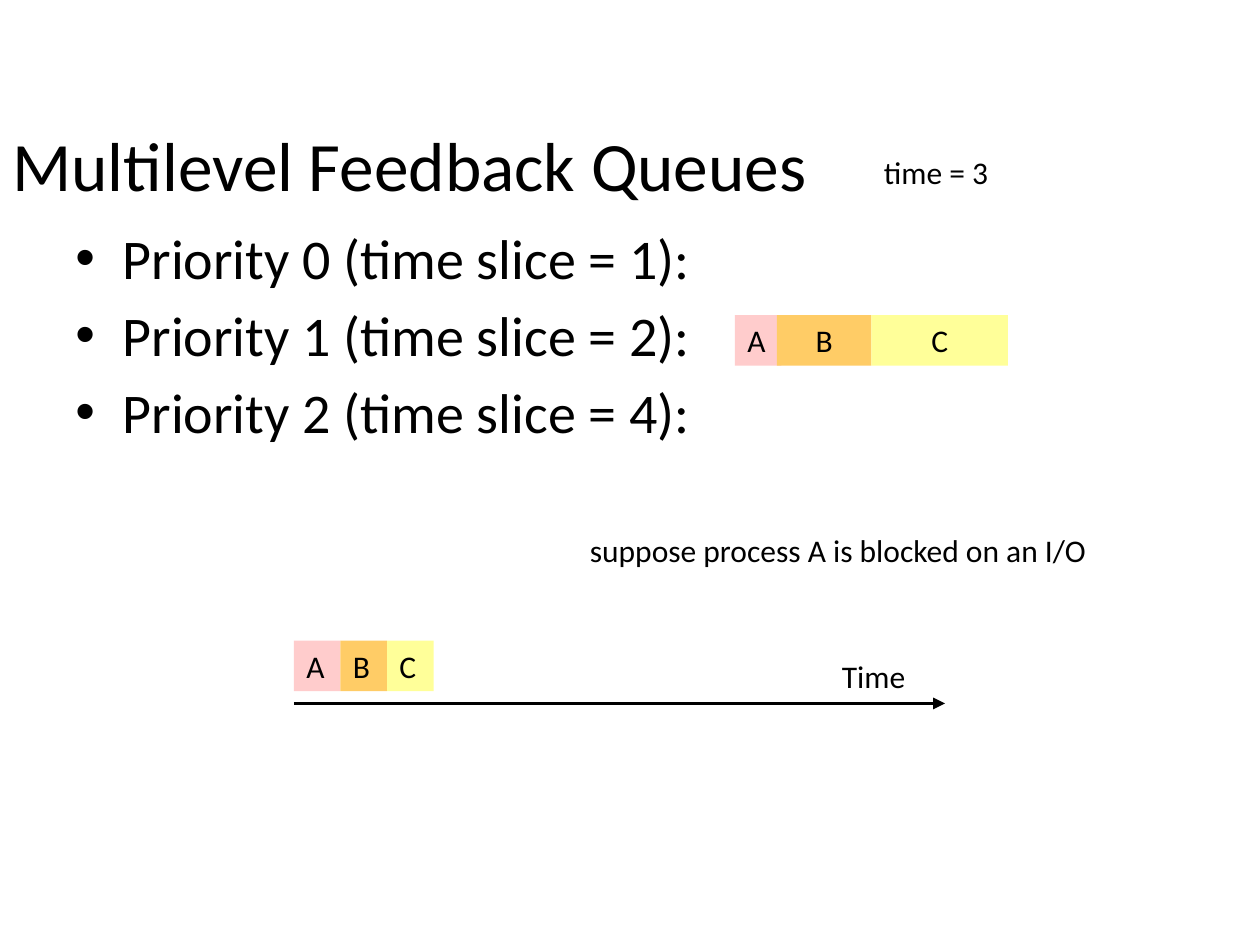
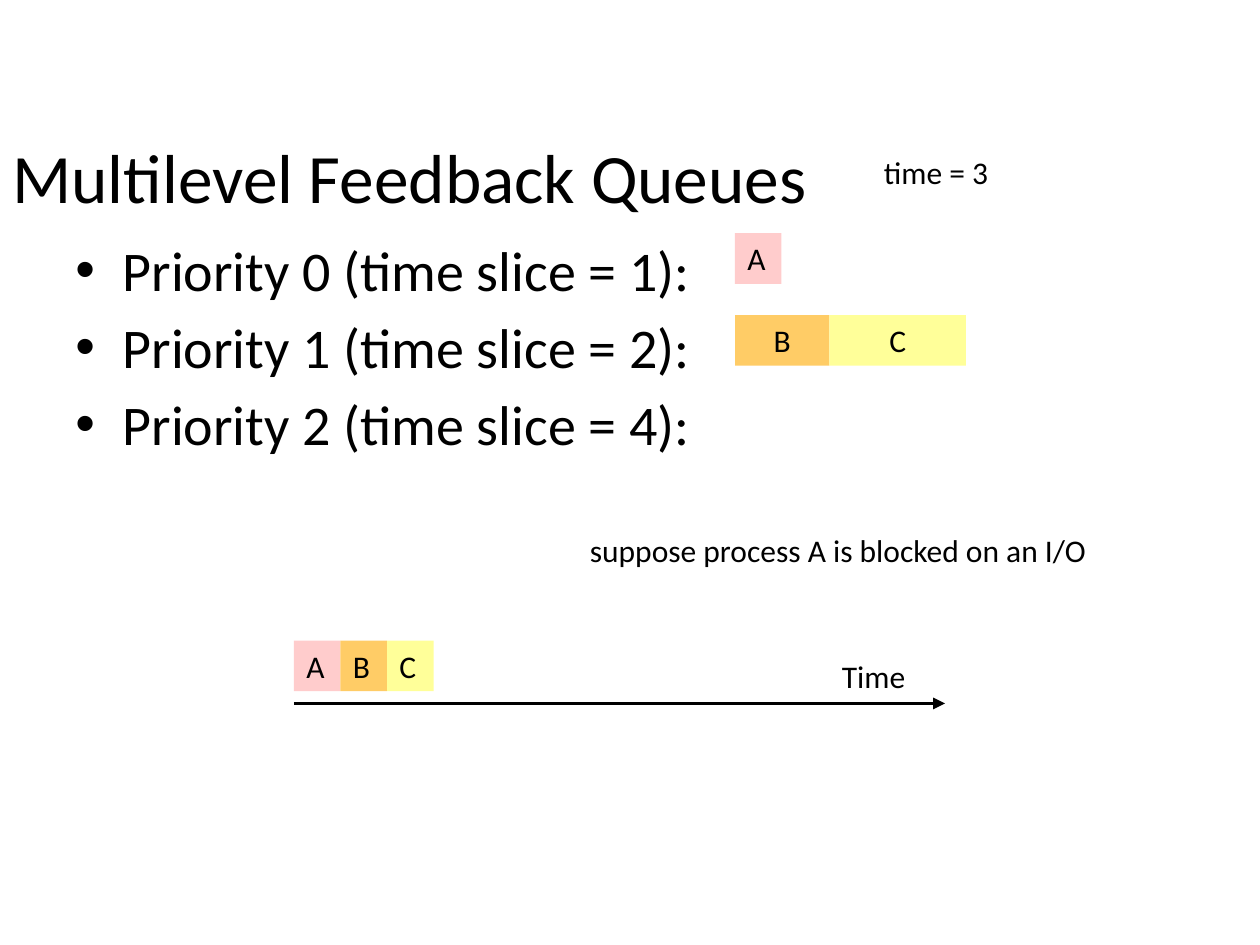
from lxml import etree
from pptx import Presentation
from pptx.dml.color import RGBColor
from pptx.enum.shapes import MSO_CONNECTOR, MSO_SHAPE
from pptx.enum.text import MSO_ANCHOR, MSO_AUTO_SIZE, PP_ALIGN
from pptx.oxml.ns import qn
from pptx.util import Pt

RECTANGLE = MSO_SHAPE.RECTANGLE
STRAIGHT = MSO_CONNECTOR.STRAIGHT
MIDDLE, TOP = MSO_ANCHOR.MIDDLE, MSO_ANCHOR.TOP
GROW = MSO_AUTO_SIZE.SHAPE_TO_FIT_TEXT
LEFT, CENTER = PP_ALIGN.LEFT, PP_ALIGN.CENTER

FONT = "Calibri"
COLORS = {"text": "000000", "A": "FFCCCC", "B": "FFCC66", "C": "FFFF99"}
PRIORITIES = [f"Priority {level} (time slice = {2 ** level}):" for level in range(3)]

BLOCK_HEIGHT = 29
SLICE_WIDTH = 26.6
QUEUE_LEFT = 420
QUEUE_TOPS = [133.2, 180]
QUEUE_STEPS = {"A": 24, "B": 54, "C": 78}
TIMELINE_LEFT, TIMELINE_RIGHT = 168, 540
TIMELINE_TOP, TIMELINE_AXIS = 366, 402


def color(name):
    return RGBColor.from_string(COLORS[name])


def format_text(text_frame, size, alignment=LEFT):
    for paragraph in text_frame.paragraphs:
        paragraph.alignment = alignment
        for run in paragraph.runs:
            run.font.name = FONT
            run.font.size = Pt(size)
            run.font.color.rgb = color("text")


def add_text(slide, text, left, top, width, height, size, anchor=TOP):
    shape = slide.shapes.add_textbox(Pt(left), Pt(top), Pt(width), Pt(height))
    text_frame = shape.text_frame
    text_frame.text = text
    text_frame.word_wrap = True
    text_frame.vertical_anchor = anchor
    format_text(text_frame, size)
    return text_frame


def add_label(slide, text, left, top, width):
    text_frame = add_text(slide, text, left, top, width, BLOCK_HEIGHT, 18)
    text_frame.word_wrap = False
    text_frame.auto_size = GROW


def add_bullets(slide, items, top):
    text_frame = add_text(slide, "\n".join(items), 36, top, 684, 404, 32)
    for paragraph in text_frame.paragraphs:
        paragraph.space_before = Pt(5.6)
        properties = paragraph._p.get_or_add_pPr()
        properties.set("marL", str(Pt(27)))
        properties.set("indent", str(Pt(-27)))
        etree.SubElement(properties, qn("a:buFont"), typeface="Arial")
        etree.SubElement(properties, qn("a:buChar"), char="•")


def add_block(slide, process, left, top, width, alignment=LEFT):
    shape = slide.shapes.add_shape(RECTANGLE, Pt(left), Pt(top), Pt(width), Pt(BLOCK_HEIGHT))
    shape.shadow.inherit = False
    shape.fill.solid()
    shape.fill.fore_color.rgb = color(process)
    shape.line.fill.background()
    text_frame = shape.text_frame
    text_frame.text = process
    text_frame.vertical_anchor = TOP
    format_text(text_frame, 18, alignment)


def add_queue(slide, processes, top):
    left = QUEUE_LEFT
    for process in processes:
        width = max(QUEUE_STEPS[process], SLICE_WIDTH)
        add_block(slide, process, left, top, width, LEFT if process == "A" else CENTER)
        left += QUEUE_STEPS[process]


def add_arrow(slide, left, right, y):
    connector = slide.shapes.add_connector(STRAIGHT, Pt(left), Pt(y), Pt(right), Pt(y))
    connector.line.color.rgb = color("text")
    connector.line.width = Pt(2.25)
    etree.SubElement(connector.line._get_or_add_ln(), qn("a:tailEnd"), type="triangle")
    etree.SubElement(connector._element.spPr, qn("a:effectLst"))


def add_timeline(slide, processes):
    for position, process in enumerate(processes):
        left = TIMELINE_LEFT + position * SLICE_WIDTH
        add_block(slide, process, left, TIMELINE_TOP, SLICE_WIDTH)
    add_arrow(slide, TIMELINE_LEFT, TIMELINE_RIGHT, TIMELINE_AXIS)
    add_label(slide, "Time", 474, 372, 54.7)


def add_queues_slide(presentation, title_top, queues):
    slide = presentation.slides.add_slide(presentation.slide_layouts[6])
    add_text(slide, "Multilevel Feedback Queues", 0, title_top, 648, 52, 39.6, MIDDLE)
    add_bullets(slide, PRIORITIES, title_top + 56.5)
    add_label(slide, "time = 3", 498, 84, 79.2)
    for processes, top in zip(queues, QUEUE_TOPS):
        add_queue(slide, processes, top)
    add_timeline(slide, "ABC")
    add_label(slide, "suppose process A is blocked on an I/O", 330, 300, 331.2)


def main():
    presentation = Presentation()
    presentation.slide_width = Pt(720)
    presentation.slide_height = Pt(540)
    add_queues_slide(presentation, 67.5, ["", "ABC"])
    add_queues_slide(presentation, 74.5, ["A", "BC"])
    presentation.save("out.pptx")


if __name__ == "__main__":
    main()
